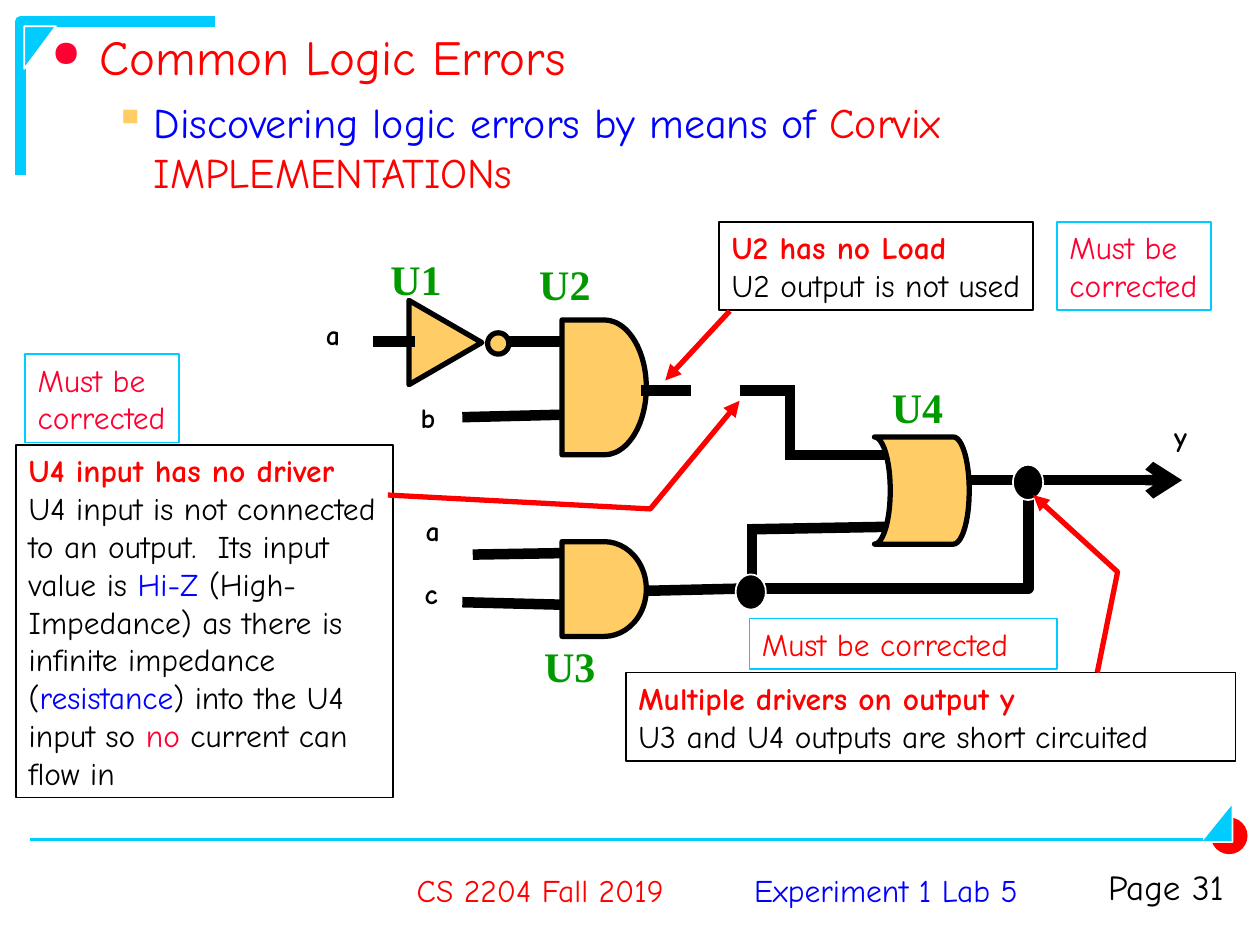
from dataclasses import dataclass

from lxml.etree import SubElement
from pptx import Presentation
from pptx.dml.color import RGBColor
from pptx.enum.shapes import MSO_CONNECTOR, MSO_SHAPE as Preset
from pptx.enum.text import MSO_ANCHOR as Anchor, MSO_AUTO_SIZE as AutoSize, PP_ALIGN as Align
from pptx.oxml.ns import qn
from pptx.util import Cm, Pt


@dataclass(frozen=True)
class Theme:
    black: str = "000000"
    white: str = "FFFFFF"
    red: str = "FF0000"
    crimson: str = "FF0033"
    blue: str = "0000FF"
    cyan: str = "00CCFF"
    amber: str = "FFCC66"
    green: str = "009900"
    body_font: str = "Comic Neue"
    unit_font: str = "Times New Roman"
    title: int = 28
    heading: int = 24
    page: int = 20
    note: int = 18
    pin: int = 16


THEME = Theme()


def apply(target, values):
    for key, value in values.items():
        setattr(target, key, value)


class CircuitSlide:
    """Draws the parts of a logic circuit slide in one theme."""

    def __init__(self, slide, theme):
        self.shapes, self.theme = slide.shapes, theme

    def outline(self, shape, color, width, head=None):
        if color is None:
            shape.line.fill.background()
            return
        shape.line.color.rgb = RGBColor.from_string(color)
        shape.line.width = Pt(width)
        if head:
            SubElement(shape.get_or_add_ln(), qn("a:tailEnd"), type=head)

    def line(self, start, end, color, width, head=None):
        ends = [Cm(value) for value in (*start, *end)]
        connector = self.shapes.add_connector(MSO_CONNECTOR.STRAIGHT, *ends)
        self.outline(connector, color, width, head)
        SubElement(connector.element.spPr, qn("a:effectLst"))

    def bent_line(self, points, color, width, head=None):
        start, *rest = [(Cm(x), Cm(y)) for x, y in points]
        builder = self.shapes.build_freeform(*start)
        builder.add_line_segments(rest, close=False)
        bend = builder.convert_to_shape()
        bend.shadow.inherit = False
        bend.fill.background()
        self.outline(bend, color, width, head)

    def shape(self, preset, frame, fill=None, line=None, width=1, turn=0, flips=()):
        figure = self.shapes.add_shape(preset, *map(Cm, frame))
        figure.shadow.inherit = False
        figure.rotation = turn
        for flip in flips:
            figure.element.spPr.xfrm.set(flip, "1")
        if fill:
            figure.fill.solid()
            figure.fill.fore_color.rgb = RGBColor.from_string(fill)
        else:
            figure.fill.background()
        self.outline(figure, line, width)
        return figure

    def gate(self, preset, frame, **options):
        self.shape(preset, frame, self.theme.amber, self.theme.black, 3, **options)

    def node(self, left, top):
        self.shape(Preset.OVAL, (left, top, 0.61, 0.71), self.theme.black, self.theme.white)

    def paragraph(self, paragraph, runs, size, font=None, layout=None, bullet=None, indent=None):
        apply(paragraph, {"alignment": Align.LEFT, **(layout or {})})
        properties = paragraph._p.get_or_add_pPr()
        if indent:
            properties.set("marL", str(Cm(indent[0])))
            properties.set("indent", str(Cm(indent[1])))
        if bullet:
            symbol, color, percent = bullet
            SubElement(SubElement(properties, qn("a:buClr")), qn("a:srgbClr"), val=color)
            SubElement(properties, qn("a:buSzPct"), val=str(percent * 1000))
            SubElement(properties, qn("a:buChar"), char=symbol)
        for words, color, bold in runs:
            run = paragraph.add_run()
            run.text = words
            apply(run.font, {"name": font or self.theme.body_font, "size": Pt(size), "bold": bold})
            run.font.color.rgb = RGBColor.from_string(color)

    def set_text(self, holder, paragraphs, side=0.25, **frame_format):
        frame = holder.text_frame
        apply(frame, {"word_wrap": True, "vertical_anchor": Anchor.TOP,
                      "margin_left": Cm(side), "margin_right": Cm(side),
                      "margin_top": Cm(0.13), "margin_bottom": Cm(0.13), **frame_format})
        for index, options in enumerate(paragraphs):
            target = frame.add_paragraph() if index else frame.paragraphs[0]
            self.paragraph(target, **options)

    def text(self, frame, paragraphs, **frame_format):
        self.set_text(self.shapes.add_textbox(*map(Cm, frame)), paragraphs, **frame_format)

    def label(self, frame, words, color, size, align, **frame_format):
        self.text(frame, [dict(runs=[(words, color, False)], size=size,
                               layout={"alignment": align})], **frame_format)

    def note(self, frame, border, paragraphs, wrap=True):
        box = self.shape(Preset.RECTANGLE, frame, line=border)
        self.set_text(box, [dict(runs=runs, size=self.theme.note) for runs in paragraphs],
                      word_wrap=wrap, auto_size=AutoSize.SHAPE_TO_FIT_TEXT)

    def unit(self, name, left, top):
        self.text((left, top, 1.55, 1.27),
                  [dict(runs=[(name, self.theme.green, True)], size=self.theme.heading,
                        font=self.theme.unit_font)],
                  word_wrap=False, auto_size=AutoSize.SHAPE_TO_FIT_TEXT)

    def pin(self, name, left, top, width=1.27):
        self.text((left, top, width, 0.84),
                  [dict(runs=[(name, self.theme.black, True)], size=self.theme.pin,
                        layout={"line_spacing": 0.8}, indent=(0.97, -0.97))])


def draw_frame(page, t):
    page.bent_line([(0.41, 3.53), (0.41, 0.43), (4.34, 0.43)], t.cyan, 6)
    page.shape(Preset.RIGHT_TRIANGLE, (0.38, 0.64, 0.86, 0.64), t.cyan, t.white,
               turn=270, flips=("flipH", "flipV"))
    page.shape(Preset.OVAL, (24.41, 16.48, 0.74, 0.74), t.red)
    page.shape(Preset.RIGHT_TRIANGLE, (24.13, 16.26, 0.79, 0.64), t.cyan, t.white, turn=270)
    page.bent_line([(24.84, 16.41), (24.84, 16.97), (24.46, 16.97)], t.white, 0.75)
    page.line((0.61, 16.92), (24.26, 16.92), t.cyan, 1.5)
    page.text((0.53, 0.53, 24.33, 16.41), [
        dict(runs=[("Common Logic Errors", t.red, False)], size=t.title,
             layout={"line_spacing": 0.9}, bullet=("●", t.crimson, 75), indent=(0.97, -0.97)),
        dict(runs=[("Discovering logic errors by means of ", t.blue, False),
                   ("Corvix IMPLEMENTATIONs", t.red, False)], size=t.heading,
             layout={"level": 1, "space_before": Pt(6)},
             bullet=("▪", t.amber, 100), indent=(2.06, -0.79)),
    ], side=0.51)
    centred = {"word_wrap": False, "vertical_anchor": Anchor.MIDDLE}
    page.label((14.61, 17.12, 6.5, 1.63), "Experiment 1 Lab 5", t.blue, t.note,
               Align.CENTER, **centred)
    page.label((7.59, 17.12, 6.6, 1.63), "CS 2204 Fall 2019", t.red, t.note,
               Align.CENTER, **centred)
    page.label((21.21, 17.32, 3.71, 1.42), "Page 31", t.black, t.page, Align.RIGHT)


def draw_circuit(page, t):
    page.gate(Preset.FLOWCHART_EXTRACT, (8.13, 6.17, 1.7, 1.47), turn=90, flips=("flipH",))
    page.gate(Preset.FLOWCHART_CONNECTOR, (9.83, 6.71, 0.43, 0.43))
    page.gate(Preset.FLOWCHART_DELAY, (11.33, 10.92, 1.7, 1.91))
    page.gate(Preset.FLOWCHART_DELAY, (11.33, 6.45, 1.7, 2.72))
    wires = [
        ((7.52, 6.88), (8.36, 6.88)), ((10.26, 6.88), (11.33, 6.88)),
        ((9.32, 8.41), (11.33, 8.36)), ((12.93, 7.87), (13.92, 7.87)),
        ((9.53, 11.18), (11.33, 11.15)), ((9.32, 12.14), (11.33, 12.19)),
        ((13.03, 11.91), (15.16, 11.86)), ((15.16, 10.57), (15.16, 11.86)),
        ((15.11, 10.67), (17.93, 10.62)), ((14.91, 7.87), (15.98, 7.87)),
        ((15.93, 7.77), (15.93, 9.22)), ((15.82, 9.17), (17.93, 9.17)),
    ]
    for start, end in wires:
        page.line(start, end, t.black, 6)
    page.bent_line([(15.11, 11.86), (20.73, 11.86), (20.73, 9.78)], t.black, 6)
    page.line((19.53, 9.68), (23.83, 9.68), t.black, 6, "arrow")
    page.gate(Preset.FLOWCHART_STORED_DATA, (17.63, 8.81, 1.91, 2.16), flips=("flipH",))
    page.node(14.83, 11.58)
    page.node(20.42, 9.37)
    for unit in [("U1", 7.62, 4.98), ("U2", 10.62, 5.08), ("U3", 10.72, 12.78),
                 ("U4", 17.73, 7.57)]:
        page.unit(*unit)
    for pin in [("a", 6.32, 6.4, 0.91), ("b", 8.23, 8.08), ("a", 8.33, 10.36, 1.02),
                ("c", 8.31, 11.63), ("y", 23.42, 8.46)]:
        page.pin(*pin)


def draw_notes(page, t):
    page.note((14.5, 4.47, 6.32, 1.78), t.black,
              [[("U2 has no Load", t.red, True)],
               [("U2 output is not used", t.black, False)]], wrap=False)
    page.note((12.62, 13.56, 12.29, 1.78), t.black,
              [[("Multiple drivers on output y", t.red, True)],
               [("U3 and U4 outputs are short circuited", t.black, False)]])
    page.note((0.33, 8.97, 7.59, 7.11), t.black, [
        [("U4 input has no driver", t.red, True)],
        [("U4 input is not connected to an output.  Its input value is ", t.black, False),
         ("Hi-Z", t.blue, False),
         (" (High-Impedance) as there is infinite impedance (", t.black, False),
         ("resistance", t.blue, False), (") into the U4 input so ", t.black, False),
         ("no", t.crimson, False), (" current can flow in", t.black, False)]])
    for left, top in [(21.31, 4.47), (0.51, 7.14)]:
        page.note((left, top, 3.1, 1.78), t.cyan,
                  [[(word, t.crimson, False)] for word in ("Must be", "corrected")], wrap=False)
    page.note((15.11, 12.47, 6.2, 1.02), t.cyan, [[("Must be corrected", t.red, False)]])
    page.line((14.71, 6.27), (13.41, 7.67), t.red, 3, "triangle")
    for pointer in [[(22.12, 13.56), (22.53, 11.53), (20.83, 9.98)],
                    [(7.82, 9.98), (13.11, 10.26), (14.91, 8.08)]]:
        page.bent_line(pointer, t.red, 3, "triangle")


def main():
    deck = Presentation()
    apply(deck, {"slide_width": Cm(25.4), "slide_height": Cm(19.05)})
    page = CircuitSlide(deck.slides.add_slide(deck.slide_layouts[6]), THEME)
    for draw in (draw_frame, draw_circuit, draw_notes):
        draw(page, THEME)
    deck.save("out.pptx")


if __name__ == "__main__":
    main()
